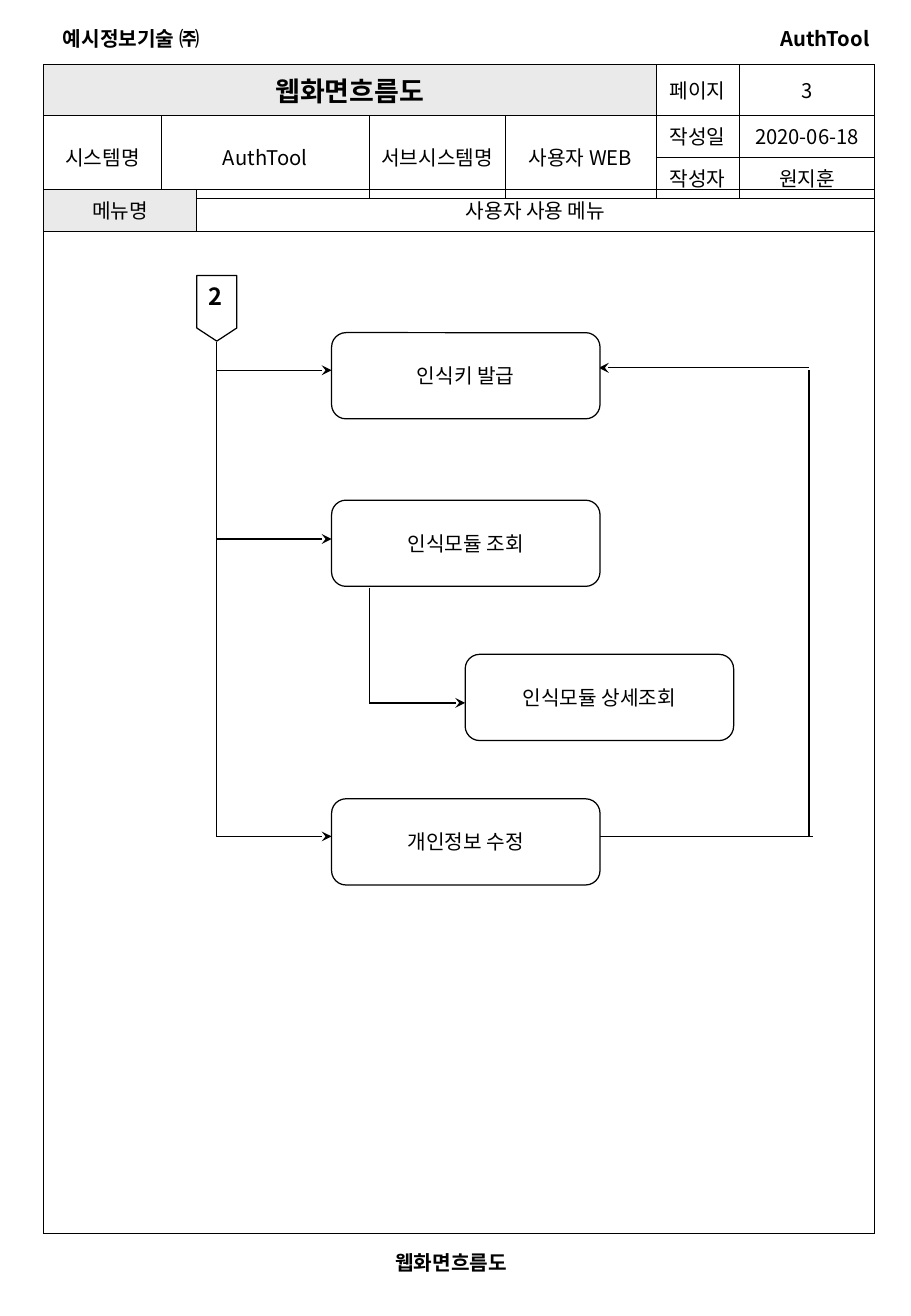
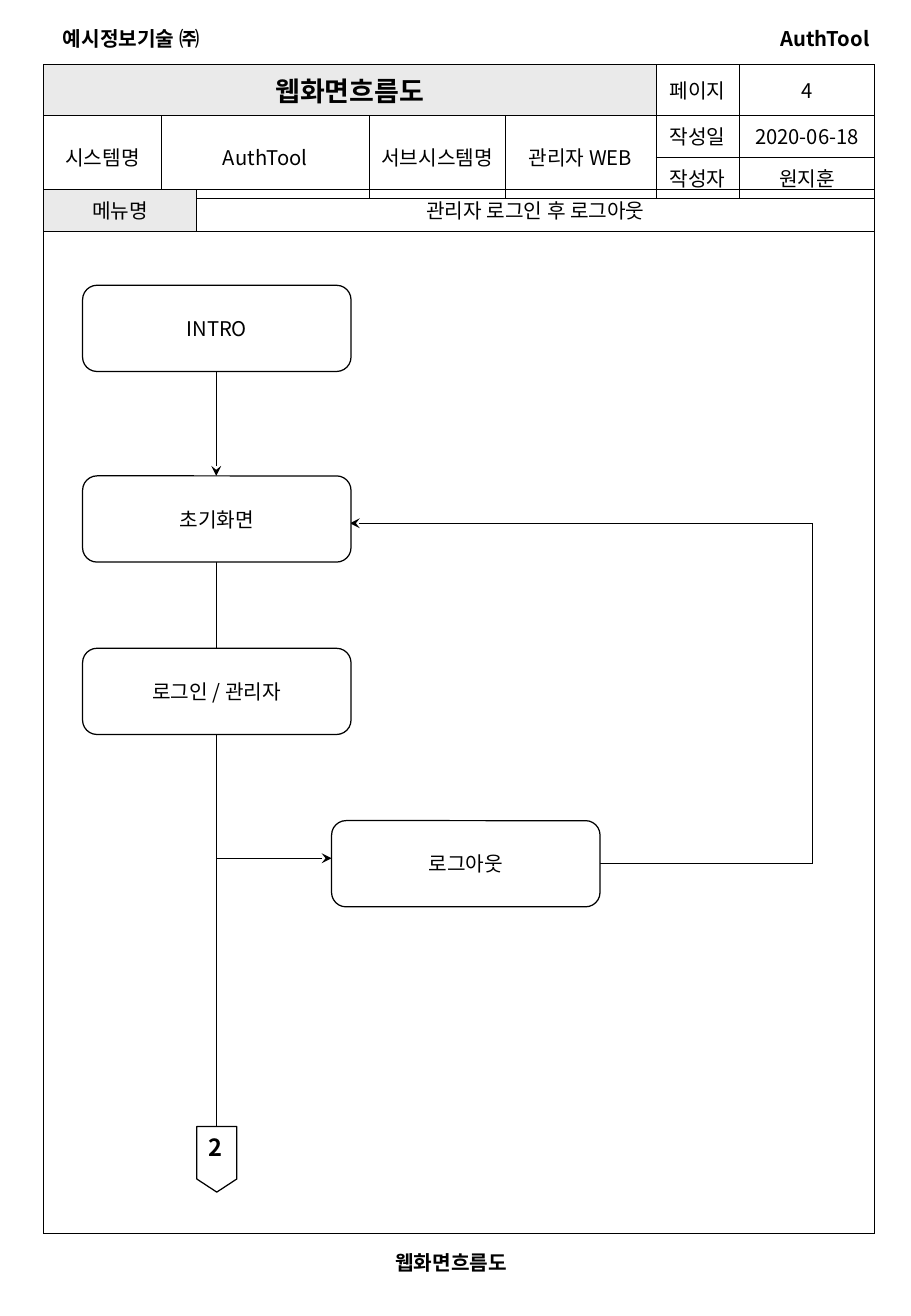
"""Build two web screen flow pages that share one form layout."""
import dataclasses

import lxml.etree
import pptx
import pptx.dml.color
import pptx.enum.shapes
import pptx.enum.text
import pptx.oxml.ns
import pptx.util

Inches = pptx.util.Inches
Pt = pptx.util.Pt
Align = pptx.enum.text.PP_ALIGN
Anchor = pptx.enum.text.MSO_ANCHOR
Shape = pptx.enum.shapes.MSO_SHAPE
qn = pptx.oxml.ns.qn


@dataclasses.dataclass(frozen=True)
class Theme:
    font: str = "Noto Sans CJK KR"
    ink: pptx.dml.color.RGBColor = pptx.dml.color.RGBColor(0, 0, 0)
    paper: pptx.dml.color.RGBColor = pptx.dml.color.RGBColor(255, 255, 255)
    band: pptx.dml.color.RGBColor = pptx.dml.color.RGBColor(0xEA, 0xEA, 0xEA)
    title: float = 16
    marker: float = 14
    body: float = 12
    border: float = 0.34
    stroke: float = 0.75
    thin: float = 0.5


theme = Theme()


def write(frame, text, size=theme.body, bold=False, align=Align.CENTER):
    """Put one styled run into the first paragraph of a text frame."""
    para = frame.paragraphs[0]
    para.alignment = align
    span = para.add_run()
    span.text = text
    span.font.size = Pt(size)
    span.font.bold = bold
    span.font.color.rgb = theme.ink
    span.font.name = theme.font
    east_asian = lxml.etree.SubElement(span.font._element, qn("a:ea"))
    east_asian.set("typeface", theme.font)


def add_grid(page, top, widths, heights, texts, merges, banded, anchor):
    """Add a ruled table; texts and banded are keyed by row and column."""
    table = page.shapes.add_table(
        len(heights), len(widths), Inches(0.36), Inches(top),
        Inches(sum(widths)), Inches(sum(heights))).table
    table.first_row = table.horz_banding = False
    for column, width in zip(table.columns, widths):
        column.width = Inches(width)
    for row, height in zip(table.rows, heights):
        row.height = Inches(height)
    for first, last in merges:
        table.cell(*first).merge(table.cell(*last))
    for row in range(len(heights)):
        for column in range(len(widths)):
            cell = table.cell(row, column)
            cell.margin_left = cell.margin_right = Inches(0.04)
            cell.margin_top = cell.margin_bottom = Inches(0.05)
            cell.vertical_anchor = anchor
            if (row, column) == banded:
                cell.fill.solid()
                cell.fill.fore_color.rgb = theme.band
            else:
                cell.fill.background()
            properties = cell._tc.get_or_add_tcPr()
            for index, side in enumerate(("lnL", "lnR", "lnT", "lnB")):
                edge = lxml.etree.Element(qn("a:" + side), w=str(Pt(theme.border)))
                fill = lxml.etree.SubElement(edge, qn("a:solidFill"))
                lxml.etree.SubElement(fill, qn("a:srgbClr"), val=str(theme.ink))
                properties.insert(index, edge)
            if (row, column) in texts:
                is_title = texts[row, column] == TITLE
                write(cell.text_frame, texts[row, column],
                      theme.title if is_title else theme.body, is_title)


TITLE = "웹화면흐름도"
PRODUCT = "AuthTool"
BOX_WIDTH, BOX_HEIGHT = 2.21, 0.71
LEFT, MIDDLE, RIGHT = 0.68, 2.73, 3.83
SPINE = 1.78
MIDDLE_END = 4.93

page_labels = [
    (PRODUCT, 5.72, 0.22, 1.44, Align.RIGHT),
    ("예시정보기술 ㈜", 0.36, 0.22, 1.44, Align.CENTER),
    (TITLE, 2.02, 10.3, 3.39, Align.CENTER),
]
flows = [
    {
        "number": "3", "subsystem": "사용자 WEB", "menu": "사용자 사용 메뉴",
        "marker_top": 2.27,
        "boxes": [("인식키 발급", MIDDLE, 2.74), ("인식모듈 조회", MIDDLE, 4.12),
                  ("인식모듈 상세조회", RIGHT, 5.39), ("개인정보 수정", MIDDLE, 6.58)],
        "lines": [(SPINE, 2.82, SPINE, 6.89, theme.stroke),
                  (3.04, 4.84, 3.04, 5.79, theme.thin),
                  (6.66, 3.05, 6.66, 6.89, theme.stroke),
                  (MIDDLE_END, 6.89, 6.69, 6.89, theme.stroke)],
        "arrows": [(SPINE, 3.05, MIDDLE, 3.05), (SPINE, 4.44, MIDDLE, 4.44),
                   (3.04, 5.79, RIGHT, 5.79), (SPINE, 6.89, MIDDLE, 6.89),
                   (6.66, 3.03, MIDDLE_END, 3.03)],
    },
    {
        "number": "4", "subsystem": "관리자 WEB", "menu": "관리자 로그인 후 로그아웃",
        "marker_top": 9.28,
        "boxes": [("INTRO", LEFT, 2.35), ("초기화면", LEFT, 3.92),
                  ("로그인 / 관리자", LEFT, 5.34), ("로그아웃", MIDDLE, 6.76)],
        "lines": [(SPINE, 4.63, SPINE, 9.28, theme.stroke),
                  (MIDDLE_END, 7.11, 6.69, 7.11, theme.thin),
                  (6.69, 4.31, 6.69, 7.11, theme.thin)],
        "arrows": [(SPINE, 3.05, SPINE, 3.92), (SPINE, 7.07, MIDDLE, 7.07),
                   (6.69, 4.31, 2.88, 4.31)],
    },
]

deck = pptx.Presentation()
deck.slide_width = Inches(7.5)
deck.slide_height = Inches(10.84)

for flow in flows:
    page = deck.slides.add_slide(deck.slide_layouts[6])
    add_grid(
        page, 0.53, [0.97, 1.71, 1.12, 1.24, 0.69, 1.11], [0.4, 0.32, 0.32],
        {(0, 0): TITLE, (0, 4): "페이지", (0, 5): flow["number"],
         (1, 0): "시스템명", (1, 1): PRODUCT,
         (1, 2): "서브시스템명", (1, 3): flow["subsystem"],
         (1, 4): "작성일", (1, 5): "2020-06-18",
         (2, 4): "작성자", (2, 5): "원지훈"},
        [((0, 0), (0, 3))] + [((1, column), (2, column)) for column in range(4)],
        (0, 0), Anchor.MIDDLE)
    add_grid(
        page, 1.56, [1.26, 5.58], [0.32, 8.26],
        {(0, 0): "메뉴명", (0, 1): flow["menu"]},
        [((1, 0), (1, 1))], (0, 0), Anchor.TOP)

    for text, left, top, width, align in page_labels:
        label = page.shapes.add_textbox(
            Inches(left), Inches(top), Inches(width), Inches(0.15))
        frame = label.text_frame
        frame.word_wrap = False
        frame.margin_left = frame.margin_right = 0
        frame.margin_top = frame.margin_bottom = 0
        write(frame, text, bold=True, align=align)

    links = [(*line, False) for line in flow["lines"]]
    links += [(*arrow, theme.stroke, True) for arrow in flow["arrows"]]
    for start_x, start_y, end_x, end_y, weight, has_head in links:
        link = page.shapes.add_connector(
            pptx.enum.shapes.MSO_CONNECTOR.STRAIGHT,
            Inches(start_x), Inches(start_y), Inches(end_x), Inches(end_y))
        link.line.color.rgb = theme.ink
        link.line.width = Pt(weight)
        if has_head:
            lxml.etree.SubElement(
                link.line._get_or_add_ln(), qn("a:tailEnd"), type="stealth")
        lxml.etree.SubElement(link._element.spPr, qn("a:effectLst"))

    nodes = [(Shape.ROUNDED_RECTANGLE, text, left, top, BOX_WIDTH, BOX_HEIGHT)
             for text, left, top in flow["boxes"]]
    nodes.append((Shape.FLOWCHART_OFFPAGE_CONNECTOR, "2",
                  1.62, flow["marker_top"], 0.33, 0.54))
    for kind, text, left, top, width, height in nodes:
        box = page.shapes.add_shape(
            kind, Inches(left), Inches(top), Inches(width), Inches(height))
        box.shadow.inherit = False
        box.fill.solid()
        box.fill.fore_color.rgb = theme.paper
        box.line.color.rgb = theme.ink
        box.line.width = Pt(theme.stroke)
        frame = box.text_frame
        if kind == Shape.ROUNDED_RECTANGLE:
            frame.word_wrap = False
            frame.vertical_anchor = Anchor.MIDDLE
            write(frame, text)
        else:
            frame.word_wrap = True
            frame.vertical_anchor = Anchor.TOP
            write(frame, text, theme.marker, True, Align.LEFT)

deck.save("out.pptx")
